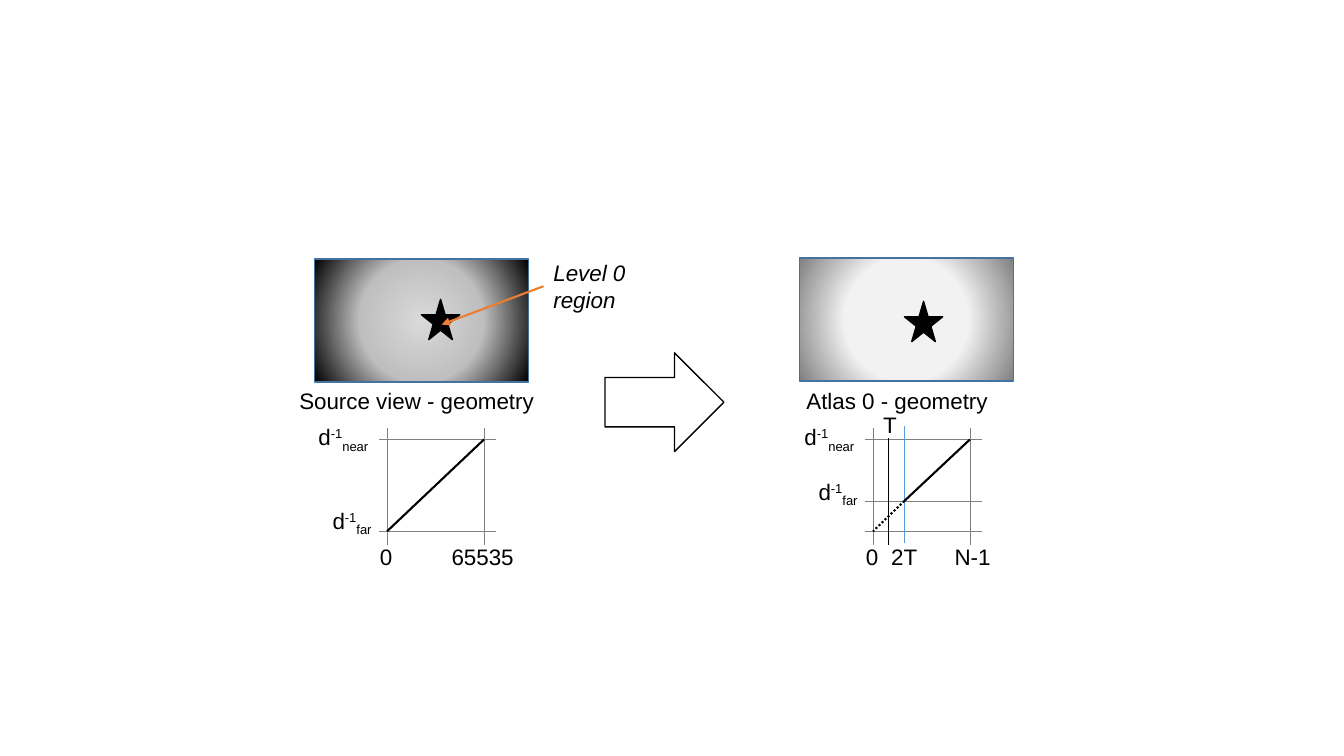
"""Builds a slide on mapping source view geometry to atlas geometry."""
import pptx
import pptx.dml.color
import pptx.enum.dml
import pptx.enum.shapes
import pptx.enum.text
import pptx.oxml
import pptx.oxml.ns
import pptx.util

Inches = pptx.util.Inches
Shape = pptx.enum.shapes.MSO_SHAPE
COLORS = {"ink": "000000", "paper": "FFFFFF", "frame": "43739E", "axis": "808080",
          "threshold": "5B9BD5", "pointer": "ED7D31"}
SOURCE_DEPTH = [(0, "D9D9D9"), (50, "BFBFBF"), (100, "000000")]
ATLAS_DEPTH = [(0, "F2F2F2"), (50, "F2F2F2"), (100, "808080")]


class GeometrySlide:
    """Holds the style and the slide, with a method for each kind of element."""

    font, size = "Arial", 16
    near_y, zero_y = 4.36, 5.27
    axis_span, overhang = 0.96, 0.08

    def __init__(self, deck):
        """Add a blank slide to the deck."""
        self.slide = deck.slides.add_slide(deck.slide_layouts[6])

    def color(self, name):
        """Return a named colour."""
        return pptx.dml.color.RGBColor.from_string(COLORS[name])

    def xml(self, tag, attributes="", inner=""):
        """Return a drawing element."""
        space = pptx.oxml.ns.nsdecls("a")
        return pptx.oxml.parse_xml(f"<a:{tag} {space} {attributes}>{inner}</a:{tag}>")

    def shape(self, kind, left, top, width, height, fill, outline="ink"):
        """Add a filled and outlined preset shape."""
        shape = self.slide.shapes.add_shape(
            kind, Inches(left), Inches(top), Inches(width), Inches(height))
        shape.shadow.inherit = False
        shape.fill.solid()
        shape.fill.fore_color.rgb = self.color(fill)
        shape.line.color.rgb = self.color(outline)
        shape.line.width = pptx.util.Pt(1)
        return shape

    def depth_map(self, left, top, stops):
        """Add a framed rectangle with a radial depth gradient."""
        view = self.shape(Shape.RECTANGLE, left, top, 2.12, 1.22, "paper", "frame")
        levels = "".join(f'<a:gs pos="{place * 1000}"><a:srgbClr val="{value}"/></a:gs>'
                         for place, value in stops)
        gradient = self.xml("gradFill", 'rotWithShape="1"', f"<a:gsLst>{levels}</a:gsLst>"
                            '<a:path path="circle"><a:fillToRect l="50000" t="50000" '
                            'r="50000" b="50000"/></a:path>')
        properties = view._element.spPr
        properties.replace(properties.find(pptx.oxml.ns.qn("a:solidFill")), gradient)

    def star(self, left, top):
        """Add the black star of the scene."""
        self.shape(Shape.STAR_5_POINT, left, top, 0.38, 0.4, "ink")

    def line(self, start, end, color="axis", width=0.5, dash=None, arrow=False):
        """Add a straight line, dashed or with an arrowhead on request."""
        line = self.slide.shapes.add_connector(
            pptx.enum.shapes.MSO_CONNECTOR.STRAIGHT, *map(Inches, (*start, *end)))
        line.line.color.rgb = self.color(color)
        line.line.width = pptx.util.Pt(width)
        if dash:
            line.line.dash_style = dash
        if arrow:
            line.line._get_or_add_ln().append(self.xml("tailEnd", 'type="triangle"'))
        line._element.spPr.append(self.xml("effectLst"))

    def text(self, left, top, width, runs, height=0.37, italic=False):
        """Add a label from (text, baseline) runs, with None for a line break."""
        frame = self.slide.shapes.add_textbox(
            Inches(left), Inches(top), Inches(width), Inches(height)).text_frame
        frame.word_wrap = False
        frame.auto_size = pptx.enum.text.MSO_AUTO_SIZE.SHAPE_TO_FIT_TEXT
        paragraph = frame.paragraphs[0]
        for part in runs:
            if part is None:
                paragraph.add_line_break()
                continue
            run = paragraph.add_run()
            run.text, baseline = part
            run.font.name, run.font.size = self.font, pptx.util.Pt(self.size)
            run.font.italic = italic or None
            run.font.color.rgb = self.color("ink")
            if baseline:
                run.font._element.set("baseline", str(baseline * 1000))

    def label(self, left, top, width, wording):
        """Add a plain label."""
        self.text(left, top, width, [(wording, 0)])

    def inverse_depth(self, left, top, width, limit):
        """Add an inverse depth label for the near or far limit."""
        self.text(left, top, width, [("d", 0), ("-1", 30), (limit, -25)])

    def level(self, zero_x, y):
        """Add a horizontal grid line."""
        self.line((zero_x + self.axis_span + 0.12, y), (zero_x - self.overhang, y))

    def axes(self, zero_x, far_label_y):
        """Add the grid and the labels that both graphs share."""
        for x in (zero_x, zero_x + self.axis_span):
            self.line((x, 4.25), (x, 5.41))
        for y in (self.near_y, self.zero_y):
            self.level(zero_x, y)
        self.inverse_depth(zero_x - 0.78, 4.15, 0.75, "near")
        self.inverse_depth(zero_x - 0.64, far_label_y, 0.63, "far")
        self.label(zero_x - 0.17, 5.34, 0.33, "0")


def main():
    """Build and save the slide."""
    deck = pptx.Presentation()
    deck.slide_width, deck.slide_height = Inches(13.33), Inches(7.5)
    page = GeometrySlide(deck)
    near_y, zero_y = page.near_y, page.zero_y

    source_x = 3.84
    page.depth_map(3.12, 2.57, SOURCE_DEPTH)
    page.label(2.87, 3.79, 2.56, "Source view - geometry")
    page.axes(source_x, 4.98)
    page.label(4.38, 5.34, 0.82, "65535")
    page.line((source_x + page.axis_span, near_y), (source_x, zero_y), "ink", 1.5)
    page.star(4.18, 2.97)
    page.text(5.39, 2.52, 0.92, [("Level 0", 0), None, ("region", 0)], 0.64, italic=True)
    page.line((5.39, 2.84), (4.38, 3.22), "pointer", 1.5, arrow=True)

    page.shape(Shape.RIGHT_ARROW, 6, 3.5, 1.18, 0.98, "paper")

    atlas_x, far_x, far_y = 8.66, 8.97, 4.97
    threshold_x = (atlas_x + far_x) / 2
    page.depth_map(7.93, 2.56, ATLAS_DEPTH)
    page.label(7.9, 3.79, 2.03, "Atlas 0 - geometry")
    page.axes(atlas_x, 4.69)
    page.label(9.37, 5.34, 0.56, "N-1")
    page.star(8.97, 2.99)
    page.label(8.74, 5.34, 0.46, "2T")
    page.line((far_x, 4.23), (far_x, 5.39), "threshold")
    page.level(atlas_x, far_y)
    page.line((atlas_x + page.axis_span, near_y), (far_x, far_y), "ink", 1.5)
    page.line((far_x, far_y), (atlas_x, zero_y), "ink", 1.5,
              pptx.enum.dml.MSO_LINE.ROUND_DOT)
    page.line((threshold_x, 4.35), (threshold_x, 5.41), "ink", 1)
    page.label(8.66, 4.03, 0.34, "T")

    deck.save("out.pptx")


main()
